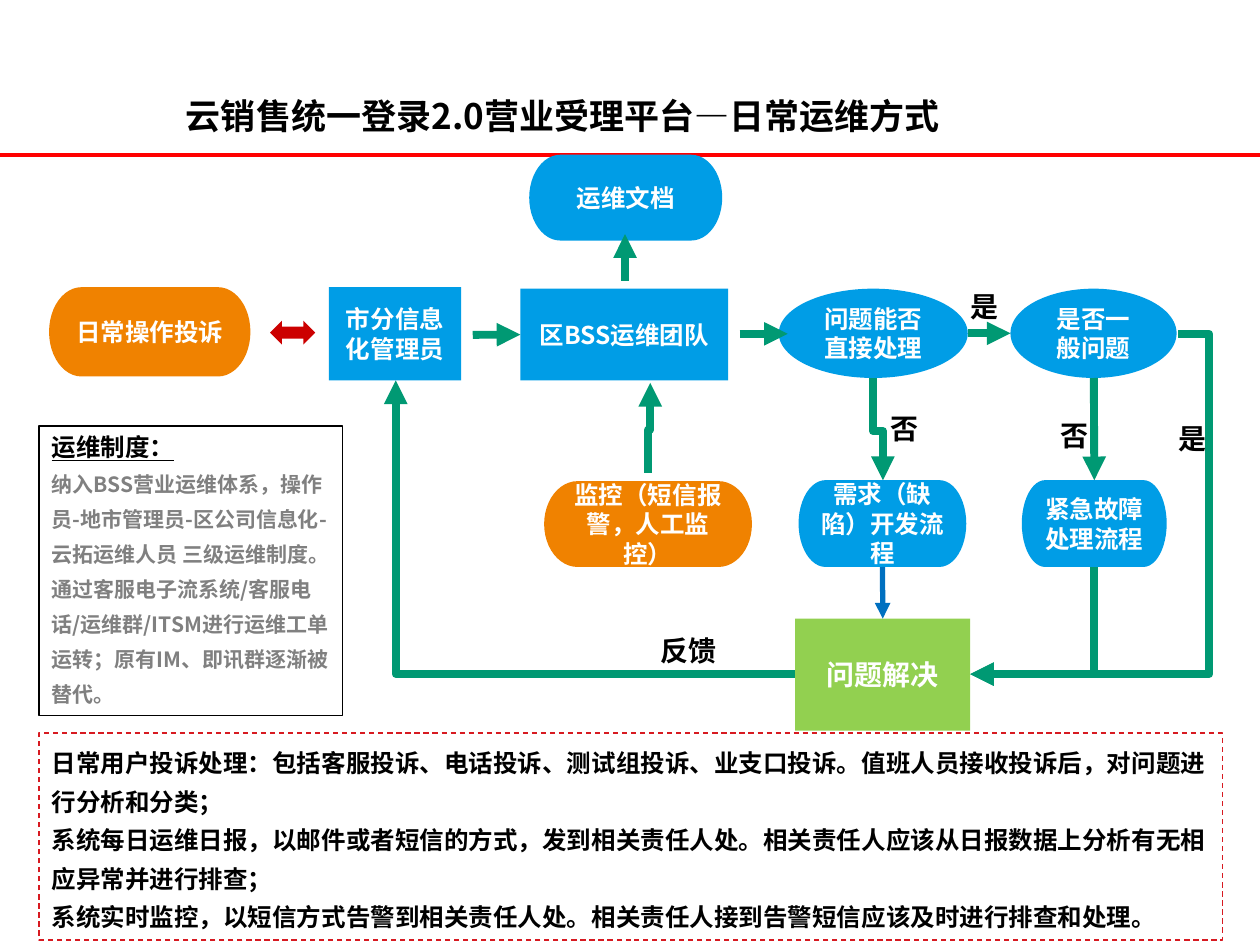
from lxml import etree
from pptx import Presentation
from pptx.dml.color import RGBColor
from pptx.enum.dml import MSO_LINE
from pptx.enum.shapes import MSO_CONNECTOR as CON, MSO_SHAPE as SHAPE
from pptx.enum.text import MSO_ANCHOR as ANCHOR, PP_ALIGN as ALIGN
from pptx.oxml.ns import qn
from pptx.util import Cm, Pt

FONT = "Noto Sans CJK SC"
COLORS = {
    "blue": "009DE6", "orange": "F08200", "lime": "92D050", "flow": "009973",
    "deep": "0070C0", "rule": "FF0000", "swap": "CC0000", "dash": "D71A21",
    "black": "000000", "grey": "808080", "white": "FFFFFF",
}


def rgb(name):
    return RGBColor.from_string(COLORS[name])


def add_text(sp, paragraphs, anchor=ANCHOR.TOP, wrap=True):
    """Fill a shape with (text, font formats, paragraph formats) items."""
    tf = sp.text_frame
    tf.word_wrap = wrap
    tf.vertical_anchor = anchor
    for i, (text, font, para) in enumerate(paragraphs):
        p = tf.add_paragraph() if i else tf.paragraphs[0]
        for name, value in para.items():
            setattr(p, name, value)
        r = p.add_run()
        r.text = text
        formats = {"name": FONT, "bold": True, **font}
        r.font.color.rgb = rgb(formats.pop("color"))
        for name, value in formats.items():
            setattr(r.font, name, value)
        etree.SubElement(r.font._element, qn("a:ea"), typeface=FONT)


def add_block(slide, kind, box, fill=None):
    sp = slide.shapes.add_shape(kind, *map(Cm, box))
    sp.shadow.inherit = False
    if fill:
        sp.fill.solid()
        sp.fill.fore_color.rgb = rgb(fill)
    else:
        sp.fill.background()
    sp.line.fill.background()
    return sp


def style_line(line, color, width, arrow=True):
    line.line.color.rgb = rgb(color)
    line.line.width = Pt(width)
    sppr = line._element.spPr
    if arrow:
        etree.SubElement(sppr.find(qn("a:ln")), qn("a:tailEnd"), type="triangle")
    etree.SubElement(sppr, qn("a:effectLst"))


def add_straight(slide, start, end, color="flow", width=4.5, arrow=True):
    line = slide.shapes.add_connector(CON.STRAIGHT, *map(Cm, (*start, *end)))
    style_line(line, color, width, arrow)
    return line


def add_elbow(slide, start, end, vertical=False, bend=None):
    """Bent arrow; bend is the turning point as a share of the run, None for one corner."""
    (x1, y1), (x2, y2) = start, end
    dx, dy = x2 - x1, y2 - y1
    if vertical:  # drawn lying down around its centre, then turned by 90 degrees
        cx, cy = (x1 + x2) / 2, (y1 + y2) / 2
        dx, dy = dy, -dx
        x1, y1, x2, y2 = cx - dx / 2, cy - dy / 2, cx + dx / 2, cy + dy / 2
    line = slide.shapes.add_connector(CON.ELBOW, *map(Cm, (x1, y1, x2, y2)))
    sppr = line._element.spPr
    if vertical:
        sppr.find(qn("a:xfrm")).set("rot", "5400000")
    geom = sppr.find(qn("a:prstGeom"))
    if bend is None:
        geom.set("prst", "bentConnector2")
    else:
        guides = geom.find(qn("a:avLst"))
        if guides is None:
            guides = etree.SubElement(geom, qn("a:avLst"))
        etree.SubElement(guides, qn("a:gd"), name="adj1", fmla=f"val {round(bend * 100000)}")
    style_line(line, "flow", 4.5)


def add_header(slide, x, y, w, h):
    add_straight(slide, (x, y + h), (x + w, y + h), "rule", 2, arrow=False)
    tb = slide.shapes.add_textbox(Cm(x + 3.5), Cm(y + 1.73), Cm(w - 3.5), Cm(1.19))
    add_text(tb, [("云销售统一登录2.0营业受理平台—日常运维方式",
                   {"size": Pt(20), "color": "black"}, {})], ANCHOR.MIDDLE)


def add_flow(slide, x, y):
    def at(px, py):
        return x + px, y + py

    elbows = [
        ((16.05, 10.47), (7.98, 4.55), False, None),
        ((23.75, 3.61), (19.56, 10.47), False, -0.15),
        ((17.6, 4.5), (17.8, 6.56), True, 0.52),
        ((22.05, 8.31), (19.56, 10.47), True, None),
        ((13.06, 6.41), (13.11, 4.6), True, 0.48),
    ]
    for start, end, *form in elbows:
        add_elbow(slide, at(*start), at(*end), *form)

    pill, rect, oval = SHAPE.FLOWCHART_TERMINATOR, SHAPE.RECTANGLE, SHAPE.OVAL
    nodes = {}
    for key, kind, fill, text, px, py, w, h in [
        ("complaint", pill, "orange", "日常操作投诉", 0.99, 2.67, 4.06, 1.8),
        ("document", pill, "blue", "运维文档", 10.67, 0, 3.89, 1.73),
        ("urgent", pill, "blue", "紧急故障处理流程", 20.6, 6.56, 2.92, 1.75),
        ("monitor", pill, "orange", "监控（短信报警，人工监控）", 10.97, 6.58, 4.19, 1.73),
        ("demand", pill, "blue", "需求（缺陷）开发流程", 16.1, 6.56, 3.38, 1.75),
        ("solved", rect, "lime", "问题解决", 16.03, 9.35, 3.53, 2.26),
        ("admin", rect, "blue", "市分信息化管理员", 6.63, 2.67, 2.67, 1.88),
        ("team", rect, "blue", "区BSS运维团队", 10.49, 2.7, 4.19, 1.85),
        ("direct", oval, "blue", "问题能否直接处理", 15.7, 2.7, 3.81, 1.8),
        ("common", oval, "blue", "是否一般问题", 20.37, 2.7, 3.35, 1.8),
    ]:
        nodes[key] = add_block(slide, kind, (*at(px, py), w, h), fill)
        size = Pt(16 if key == "solved" else 14)
        add_text(nodes[key], [(text, {"size": size, "color": "white"},
                               {"alignment": ALIGN.CENTER})], ANCHOR.MIDDLE)

    add_straight(slide, at(12.6, 2.54), at(12.6, 1.6))
    add_straight(slide, at(14.91, 3.61), at(15.88, 3.61))
    add_straight(slide, at(19.51, 3.6), at(20.37, 3.6))
    to_team = add_straight(slide, at(9.53, 3.63), at(10.49, 3.63))
    to_team.end_connect(nodes["team"], 1)
    to_urgent = add_straight(slide, at(22.05, 4.5), at(22.05, 6.56))
    to_urgent.end_connect(nodes["urgent"], 0)
    to_solved = add_straight(slide, at(17.79, 8.31), at(17.79, 9.35), "deep", 3)
    to_solved.begin_connect(nodes["demand"], 2)
    to_solved.end_connect(nodes["solved"], 0)

    for text, px, py, w in [
        ("是", 23.5, 5.26, 1.09), ("反馈", 13.06, 9.53, 1.65), ("是", 19.3, 2.6, 1.09),
        ("否", 17.68, 5.06, 1.09), ("否", 21.11, 5.19, 1.09),
    ]:
        tb = slide.shapes.add_textbox(*map(Cm, (*at(px, py), w, 0.94)))
        add_text(tb, [(text, {"size": Pt(16), "color": "black"},
                       {"alignment": ALIGN.CENTER})], wrap=False)

    swap = add_block(slide, SHAPE.UP_DOWN_ARROW, (*at(5.66, 3.13), 0.48, 0.91), "swap")
    swap.rotation = 270


def add_panel(slide, box, color, paragraphs, dash=None):
    sp = add_block(slide, SHAPE.RECTANGLE, box)
    sp.line.color.rgb = rgb(color)
    sp.line.width = Pt(0.75)
    if dash:
        sp.line.dash_style = dash
    left = {"alignment": ALIGN.LEFT}
    add_text(sp, [(text, font, {**left, **para}) for text, font, para in paragraphs])


def add_rules(slide, *box):
    add_panel(slide, box, "black", [
        ("运维制度：", {"size": Pt(14), "color": "black", "underline": True}, {}),
        ("纳入BSS营业运维体系，操作员-地市管理员-区公司信息化-云拓运维人员 三级运维制度。"
         "通过客服电子流系统/客服电话/运维群/ITSM进行运维工单运转；原有IM、即讯群逐渐被替代。",
         {"size": Pt(12), "color": "grey"}, {"line_spacing": Pt(20)}),
    ])


def add_notes(slide, *box):
    lines = [
        "日常用户投诉处理：包括客服投诉、电话投诉、测试组投诉、业支口投诉。值班人员接收投诉后，对问题进行分析和分类；",
        "系统每日运维日报，以邮件或者短信的方式，发到相关责任人处。相关责任人应该从日报数据上分析有无相应异常并进行排查；",
        "系统实时监控，以短信方式告警到相关责任人处。相关责任人接到告警短信应该及时进行排查和处理。",
    ]
    font = {"size": Pt(14), "color": "black"}
    add_panel(slide, box, "dash", [(t, font, {"line_spacing": Pt(22)}) for t in lines],
              MSO_LINE.DASH)


def main():
    prs = Presentation()
    prs.slide_width, prs.slide_height = Cm(25.4), Cm(19.05)
    slide = prs.slides.add_slide(prs.slide_layouts[6])
    add_header(slide, 0, 0, 25.4, 3.12)
    add_flow(slide, 0, 3.12)
    add_rules(slide, 0.79, 8.59, 6.12, 5.84)
    add_notes(slide, 0.79, 14.78, 23.85, 4.17)
    prs.save("out.pptx")


if __name__ == "__main__":
    main()
